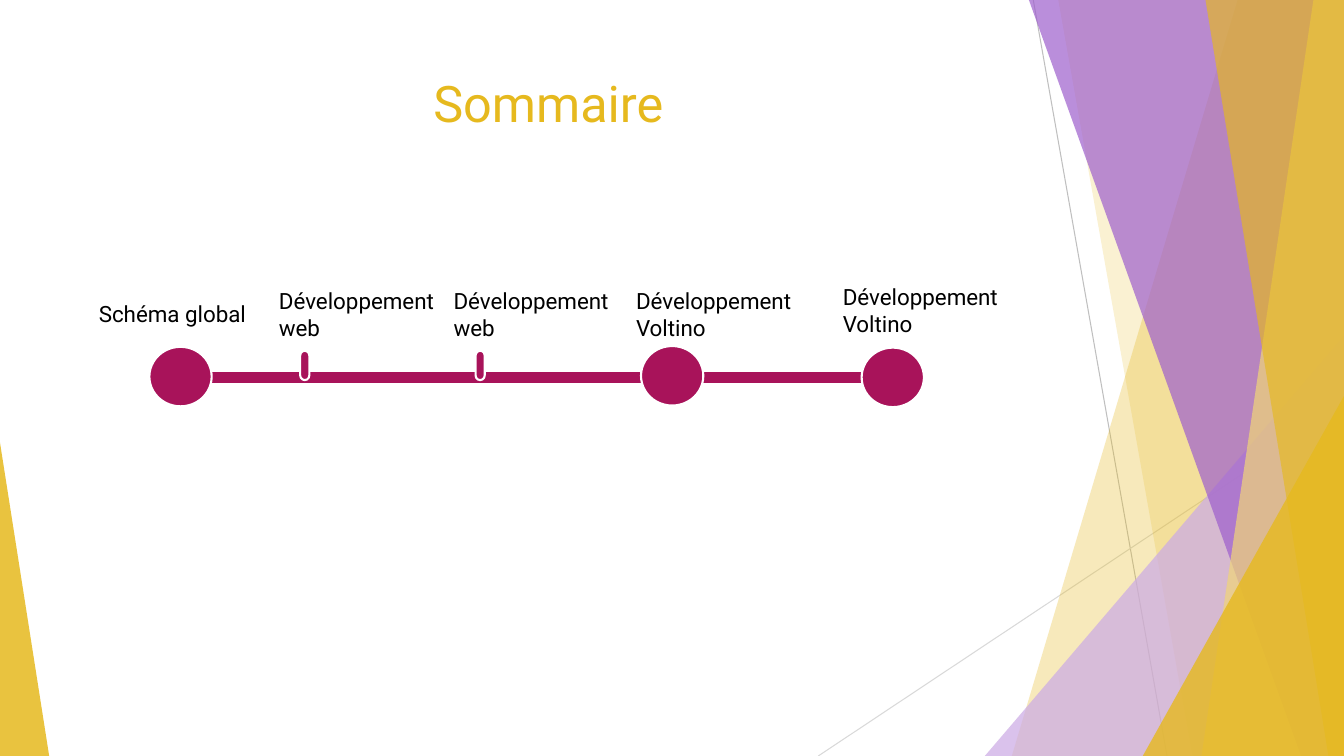
from dataclasses import dataclass

from lxml import etree
from pptx import Presentation
from pptx import util as u
from pptx.dml import color
from pptx.enum import shapes, text
from pptx.oxml import ns

WIDTH, HEIGHT = 33.87, 19.05
GOLD, PALE_GOLD = "E6B91E", "F0D578"
PURPLE, LILAC = "9E5FCD", "CCABE5"
CRIMSON, WHITE, BLACK = "A8135A", "FFFFFF", "000000"
FONT = "Roboto"
AXIS_Y = 9.51


@dataclass
class Ray:
    start: tuple[float, float]
    end: tuple[float, float]
    tint: str


@dataclass
class Band:
    """Slanted left edge from top to bottom, reaching the right slide edge."""
    top_x: float
    bottom_x: float
    tint: str
    opacity: int


@dataclass
class Corner:
    """Right-angled triangle standing on the bottom edge."""
    left: float
    width: float
    height: float
    apex: float
    tint: str
    opacity: int


@dataclass
class Stop:
    label: str
    label_left: float
    label_top: float
    label_width: float
    center_x: float
    center_y: float
    major: bool


RAYS = [
    Ray((26.04, 0), (29.41, HEIGHT), "BFBFBF"),
    Ray((WIDTH, 10.24), (20.62, HEIGHT), "D9D9D9"),
]
FACETS = [
    Band(31.19, 25.5, GOLD, 30),
    Band(26.67, 30.05, GOLD, 20),
    Corner(24.82, 9.05, 10.59, 1, LILAC, 72),
    Band(25.93, 32.79, PURPLE, 70),
    Band(33.1, 30.28, PALE_GOLD, 70),
    Band(30.38, 33.48, GOLD, 65),
    Corner(28.8, 5.07, 9.07, 1, GOLD, 80),
    Corner(0, 1.24, 7.9, 0, GOLD, 85),
]
STOPS = [
    Stop("Schéma global", 2.24, 7.44, 4.45, 4.55, 9.49, True),
    Stop("Développement web", 6.78, 7.11, 4.62, 7.68, 9.21, False),
    Stop("Développement web", 11.18, 7.11, 4.62, 12.1, 9.21, False),
    Stop("Développement Voltino", 15.78, 7.11, 4.57, 16.94, 9.47, True),
    Stop("Développement Voltino", 20.99, 7.01, 4.57, 22.5, 9.51, True),
]


def rgb(value: str) -> color.RGBColor:
    return color.RGBColor.from_string(value)


def fill_facet(shape, tint: str, opacity: int) -> None:
    shape.shadow.inherit = False
    shape.line.fill.background()
    shape.fill.solid()
    shape.fill.fore_color.rgb = rgb(tint)
    srgb = shape._element.spPr.find(".//" + ns.qn("a:srgbClr"))
    etree.SubElement(srgb, ns.qn("a:alpha"), val=str(opacity * 1000))


def draw_ray(slide, ray: Ray) -> None:
    points = [u.Cm(value) for value in ray.start + ray.end]
    beam = slide.shapes.add_connector(shapes.MSO_CONNECTOR.STRAIGHT, *points)
    beam.line.color.rgb = rgb(ray.tint)
    beam.line.width = u.Pt(0.75)
    etree.SubElement(beam._element.spPr, ns.qn("a:effectLst"))


def draw_band(slide, band: Band) -> None:
    outline = slide.shapes.build_freeform(u.Cm(band.top_x), 0)
    corners = [(WIDTH, 0), (WIDTH, HEIGHT), (band.bottom_x, HEIGHT)]
    outline.add_line_segments([(u.Cm(x), u.Cm(y)) for x, y in corners])
    fill_facet(outline.convert_to_shape(), band.tint, band.opacity)


def draw_corner(slide, corner: Corner) -> None:
    triangle = slide.shapes.add_shape(
        shapes.MSO_SHAPE.ISOSCELES_TRIANGLE, u.Cm(corner.left),
        u.Cm(HEIGHT - corner.height), u.Cm(corner.width), u.Cm(corner.height))
    triangle.adjustments[0] = corner.apex
    fill_facet(triangle, corner.tint, corner.opacity)


def draw_mark(slide, kind, center_x: float, center_y: float,
              width: float, height: float, rotation: int = 0) -> None:
    mark = slide.shapes.add_shape(
        kind, u.Cm(center_x - width / 2), u.Cm(center_y - height / 2),
        u.Cm(width), u.Cm(height))
    mark.rotation = rotation
    mark.shadow.inherit = False
    mark.fill.solid()
    mark.fill.fore_color.rgb = rgb(CRIMSON)
    mark.line.color.rgb = rgb(WHITE)
    mark.line.width = u.Pt(1.5)


def draw_text(slide, wording: str, left: float, top: float, width: float,
              height: float, size: int, tint: str, align) -> None:
    box = slide.shapes.add_textbox(u.Cm(left), u.Cm(top), u.Cm(width), u.Cm(height))
    frame = box.text_frame
    frame.word_wrap = True
    frame.text = wording
    paragraph = frame.paragraphs[0]
    paragraph.alignment = align
    font = paragraph.runs[0].font
    font.name, font.size = FONT, u.Pt(size)
    font.color.rgb = rgb(tint)


def draw_stop(slide, stop: Stop) -> None:
    if stop.major:
        draw_mark(slide, shapes.MSO_SHAPE.OVAL,
                  stop.center_x, stop.center_y, 1.57, 1.5)
    else:
        draw_mark(slide, shapes.MSO_SHAPE.FLOWCHART_TERMINATOR,
                  stop.center_x, stop.center_y, 0.74, 0.23, 90)
    draw_text(slide, stop.label, stop.label_left, stop.label_top,
              stop.label_width, 1.63, 16, BLACK, text.PP_ALIGN.LEFT)


def main() -> None:
    deck = Presentation()
    deck.slide_width, deck.slide_height = u.Cm(WIDTH), u.Cm(HEIGHT)
    slide = deck.slides.add_slide(deck.slide_layouts[6])

    # Faceted backdrop
    for ray in RAYS:
        draw_ray(slide, ray)
    for facet in FACETS:
        if isinstance(facet, Band):
            draw_band(slide, facet)
        else:
            draw_corner(slide, facet)

    # Title
    draw_text(slide, "Sommaire", 1.88, 1.7, 23.88, 3.66, 36, GOLD,
              text.PP_ALIGN.CENTER)

    # Timeline
    draw_mark(slide, shapes.MSO_SHAPE.RECTANGLE, 13.83, AXIS_Y, 18.42, 0.33)
    for stop in STOPS:
        draw_stop(slide, stop)

    deck.save("out.pptx")


if __name__ == "__main__":
    main()
